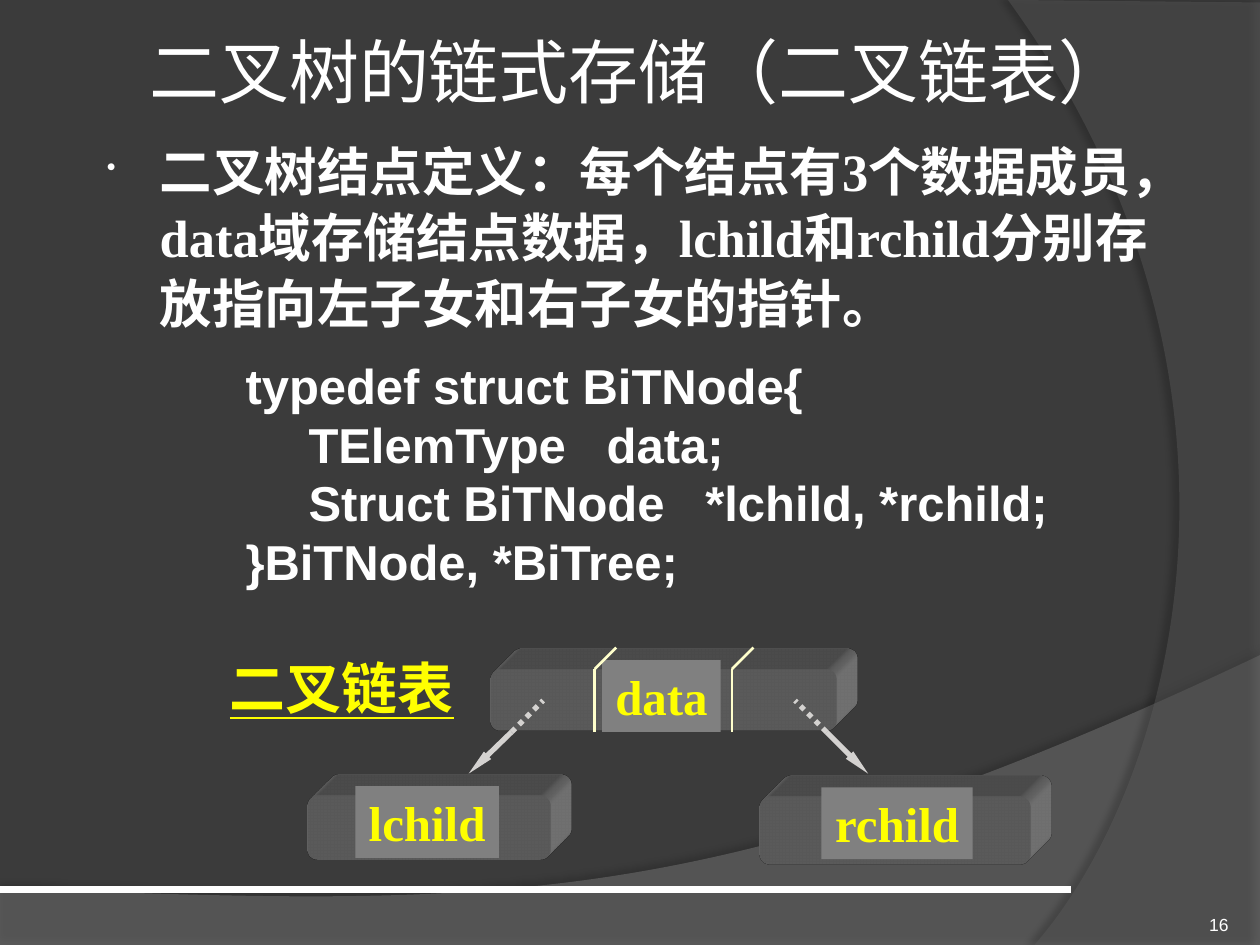
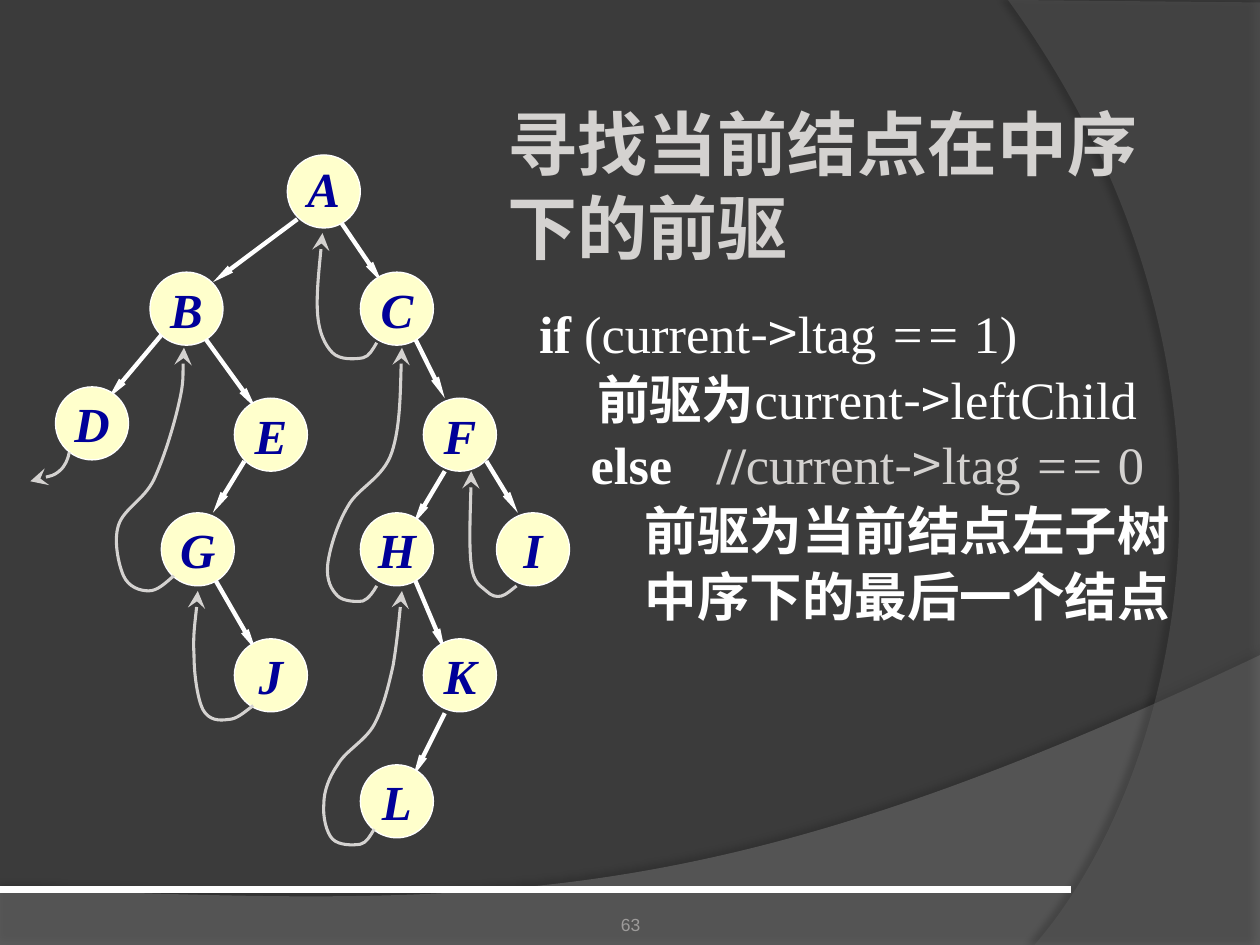
from lxml import etree
from pptx import Presentation
from pptx.dml.color import RGBColor
from pptx.enum.dml import MSO_LINE
from pptx.enum.shapes import MSO_CONNECTOR, MSO_SHAPE
from pptx.enum.text import MSO_ANCHOR, PP_ALIGN
from pptx.oxml import parse_xml
from pptx.oxml.ns import nsdecls, qn
from pptx.util import Inches, Pt

STRAIGHT = MSO_CONNECTOR.STRAIGHT
RECT, ROUNDED, OVAL = MSO_SHAPE.RECTANGLE, MSO_SHAPE.ROUNDED_RECTANGLE, MSO_SHAPE.OVAL
DOTTED = MSO_LINE.ROUND_DOT
TOP, MIDDLE, BOTTOM = MSO_ANCHOR.TOP, MSO_ANCHOR.MIDDLE, MSO_ANCHOR.BOTTOM
LEFT, CENTER, RIGHT = PP_ALIGN.LEFT, PP_ALIGN.CENTER, PP_ALIGN.RIGHT

COLORS = {
    "background": "3B3B3B", "bottom_band": "7F7F7F", "side_band": "5E5E5E",
    "white": "FFFFFF", "muted": "D4D2D0", "footer": "9D9B9A",
    "box": "808080", "yellow": "FFFF00", "cream": "FFFFCC", "navy": "000099",
}
SERIF, SANS, CJK, HEADING = "Times New Roman", "Arial", "Noto Sans CJK SC", "Karla"
TITLE_INSETS = (0.05, 0.05, 0.05, 0.05)
TEXT_INSETS = (0.1, 0.05, 0.1, 0.05)

TITLE = {"name": HEADING, "size": 40, "color": "white"}
MUTED_TITLE = {**TITLE, "color": "muted", "bold": True}
BODY = {"name": SERIF, "size": 30, "color": "white"}
BOLD_BODY = {**BODY, "bold": True}
CODE = {"name": SANS, "size": 28, "color": "white", "bold": True}
FIELD = {"name": SERIF, "size": 28, "color": "yellow", "bold": True}
CAPTION = {**FIELD, "size": 32, "underline": True}
NODE = {**FIELD, "color": "navy", "italic": True}
PAGE = {"name": SANS, "size": 10, "color": "white"}

NODE_SIZE = 0.58
NODES = {
    "A": (2.28, 1.23), "B": (1.19, 2.16), "C": (2.86, 2.16), "D": (0.44, 3.07),
    "E": (1.86, 3.16), "F": (3.36, 3.16), "G": (1.28, 4.07), "H": (2.86, 4.07),
    "I": (3.94, 4.07), "J": (1.86, 5.07), "K": (3.36, 5.07), "L": (2.86, 6.07),
}
TREE_EDGES = {
    "AB": (2.36, 1.74, 1.69, 2.24), "AC": (2.69, 1.74, 3.03, 2.24),
    "BD": (1.28, 2.66, 0.86, 3.16), "BE": (1.61, 2.66, 2.03, 3.24),
    "CF": (3.28, 2.66, 3.53, 3.16), "EG": (1.94, 3.66, 1.69, 4.07),
    "FH": (3.53, 3.74, 3.28, 4.16), "FI": (3.86, 3.66, 4.11, 4.07),
    "GJ": (1.69, 4.57, 2.03, 5.16), "HK": (3.28, 4.57, 3.53, 5.16),
    "KL": (3.53, 5.66, 3.28, 6.16),
}
# Each thread: start point, then Bezier segments (two controls and an end).
THREADS = {
    "IF": [(4.1, 4.65), (4.06, 4.68, 4.02, 4.72, 3.98, 4.73),
           (3.94, 4.74, 3.9, 4.73, 3.86, 4.69), (3.82, 4.65, 3.76, 4.64, 3.74, 4.48),
           (3.72, 4.33, 3.74, 3.87, 3.74, 3.74)],
    "LH": [(2.97, 6.58), (2.94, 6.63, 2.91, 6.69, 2.86, 6.7),
           (2.8, 6.71, 2.69, 6.71, 2.64, 6.66), (2.59, 6.61, 2.56, 6.48, 2.57, 6.38),
           (2.57, 6.28, 2.61, 6.17, 2.68, 6.07), (2.74, 5.96, 2.9, 5.88, 2.97, 5.75),
           (3.04, 5.62, 3.08, 5.46, 3.12, 5.28), (3.15, 5.1, 3.18, 4.79, 3.19, 4.69)],
    "HC": [(2.99, 4.65), (2.96, 4.7, 2.93, 4.75, 2.88, 4.77),
           (2.82, 4.78, 2.72, 4.77, 2.68, 4.73), (2.63, 4.68, 2.59, 4.61, 2.6, 4.49),
           (2.61, 4.38, 2.67, 4.17, 2.76, 4.02), (2.84, 3.87, 3.04, 3.8, 3.11, 3.59),
           (3.18, 3.38, 3.18, 2.9, 3.19, 2.76)],
    "CA": [(2.99, 2.72), (2.96, 2.77, 2.93, 2.83, 2.88, 2.84),
           (2.82, 2.85, 2.7, 2.86, 2.64, 2.8), (2.58, 2.74, 2.53, 2.64, 2.52, 2.48),
           (2.51, 2.33, 2.55, 1.96, 2.56, 1.85)],
    "JG": [(2.01, 5.6), (1.94, 5.65, 1.88, 5.71, 1.81, 5.71),
           (1.74, 5.72, 1.66, 5.72, 1.61, 5.63), (1.57, 5.55, 1.54, 5.36, 1.54, 5.2),
           (1.53, 5.04, 1.57, 4.77, 1.57, 4.69)],
    "GB": [(1.38, 4.57), (1.31, 4.63, 1.25, 4.69, 1.18, 4.69),
           (1.11, 4.69, 1.02, 4.66, 0.98, 4.57), (0.94, 4.48, 0.9, 4.29, 0.94, 4.17),
           (0.98, 4.04, 1.14, 3.97, 1.22, 3.81), (1.3, 3.64, 1.38, 3.38, 1.42, 3.2),
           (1.46, 3.03, 1.45, 2.83, 1.46, 2.76)],
    "D-start": [(0.55, 3.59), (0.54, 3.64, 0.52, 3.7, 0.47, 3.74),
                (0.42, 3.78, 0.28, 3.81, 0.24, 3.82)],
}


def rgb(color):
    return RGBColor.from_string(COLORS[color])


def inches(values):
    return [Inches(value) for value in values]


def add_runs(paragraph, runs):
    """Append (text, format) runs; a newline becomes a line break."""
    for text, style in runs:
        for number, line in enumerate(text.split("\n")):
            if number:
                paragraph.add_line_break()
            run = paragraph.add_run()
            run.text = line
            for attribute, value in style.items():
                if attribute == "color":
                    run.font.color.rgb = rgb(value)
                else:
                    setattr(run.font, attribute, Pt(value) if attribute == "size" else value)


def fill_text(shape, paragraphs, align=LEFT, anchor=TOP, insets=TEXT_INSETS, wrap=True):
    frame = shape.text_frame
    frame.word_wrap = wrap
    frame.vertical_anchor = anchor
    for side, inset in zip(("left", "top", "right", "bottom"), insets):
        setattr(frame, f"margin_{side}", Inches(inset))
    for number, runs in enumerate(paragraphs):
        paragraph = frame.add_paragraph() if number else frame.paragraphs[0]
        paragraph.alignment = align
        add_runs(paragraph, runs)
    return frame


def add_text(slide, at, paragraphs, **layout):
    return fill_text(slide.shapes.add_textbox(*inches(at)), paragraphs, **layout)


def add_title(slide, at, text, style, align):
    add_text(slide, at, [[(text, style)]], align=align, anchor=MIDDLE, insets=TITLE_INSETS)


def add_solid(slide, preset, at, fill):
    shape = slide.shapes.add_shape(preset, *inches(at))
    shape.shadow.inherit = False
    shape.fill.solid()
    shape.fill.fore_color.rgb = rgb(fill)
    shape.line.fill.background()
    return shape


def set_line(line, color, width, arrow=None):
    """Style a line; arrow is (type, width, length) of the head at its end."""
    line.color.rgb = rgb(color)
    line.width = Pt(width)
    if arrow:
        kind, breadth, length = arrow
        etree.SubElement(line._get_or_add_ln(), qn("a:tailEnd"),
                         type=kind, w=breadth, len=length)


def add_line(slide, ends, color, width, arrow=None, dash=None):
    connector = slide.shapes.add_connector(STRAIGHT, *inches(ends))
    if dash:
        connector.line.dash_style = dash
    set_line(connector.line, color, width, arrow)
    etree.SubElement(connector._element.spPr, qn("a:effectLst"))


def add_curve(slide, outline, close=False):
    """Build a freeform from a start point, line ends and Bezier segments."""
    start, *segments = outline
    builder = slide.shapes.build_freeform(*inches(start), scale=1.0)
    builder.add_line_segments([inches(s[-2:]) for s in segments], close=close)
    shape = builder.convert_to_shape()
    shape.shadow.inherit = False
    for line_to, segment in zip(list(shape._element.iter(qn("a:lnTo"))), segments):
        if len(segment) == 6:
            bezier = etree.Element(qn("a:cubicBezTo"))
            for x, y in zip(segment[::2], segment[1::2]):
                etree.SubElement(bezier, qn("a:pt"), x=str(Inches(x) - shape.left),
                                 y=str(Inches(y) - shape.top))
            line_to.getparent().replace(line_to, bezier)
    return shape


def add_band(slide, outline, color, opacity, shadow_opacity, distance, angle):
    band = add_curve(slide, outline, close=True)
    band.fill.solid()
    band.fill.fore_color.rgb = rgb(color)
    band.line.fill.background()
    properties = band._element.spPr
    tint = properties.find(qn("a:solidFill"))[0]
    etree.SubElement(tint, qn("a:alpha"), val=str(opacity * 1000))
    properties.find(qn("a:effectLst")).append(parse_xml(
        f'<a:outerShdw {nsdecls("a")} blurRad="{Pt(4)}" dist="{Pt(distance)}" '
        f'dir="{angle * 60000}" algn="ctr" rotWithShape="0"><a:srgbClr val="000000">'
        f'<a:alpha val="{shadow_opacity * 1000}"/></a:srgbClr></a:outerShdw>'))


def add_slide(deck):
    """Add a blank slide with the shared background, bands and footer rule."""
    slide = deck.slides.add_slide(deck.slide_layouts[6])
    slide.background.fill.solid()
    slide.background.fill.fore_color.rgb = rgb("background")
    add_band(slide, [(0, 7.05), (0, 7.5), (10, 7.5), (10, 5.2),
                     (5.59, 7.29, 3.91, 7.19, 0, 7.05)], "bottom_band", 45, 35, 3.5, 270)
    add_band(slide, [(10, 0.02), (10, 7.5), (8.21, 7.5),
                     (9.35, 6.19, 10.18, 3, 8, 0)], "side_band", 40, 45, 4, 180)
    add_line(slide, (0, 7.06, 8.5, 7.06), "white", 4.5)
    return slide


def add_block(slide, at):
    """Add a rounded box extruded to the upper right."""
    block = add_solid(slide, ROUNDED, at, "box")
    for part in (
        '<a:scene3d {}><a:camera prst="legacyObliqueTopRight"/>'
        '<a:lightRig rig="legacyFlat3" dir="b"/></a:scene3d>',
        '<a:sp3d {} extrusionH="430200" prstMaterial="legacyMatte">'
        '<a:extrusionClr><a:srgbClr val="808080"/></a:extrusionClr></a:sp3d>',
    ):
        block._element.spPr.append(parse_xml(part.format(nsdecls("a"))))


def add_field(slide, at, name):
    fill_text(add_solid(slide, RECT, at, "box"), [[(name, FIELD)]],
              align=CENTER, anchor=MIDDLE, wrap=False)


def add_node(slide, name, corner):
    node = add_solid(slide, OVAL, (*corner, NODE_SIZE, NODE_SIZE), "cream")
    set_line(node.line, "white", 0.75)
    return fill_text(node, [[(name, NODE)]], align=CENTER, anchor=MIDDLE, wrap=False)


def indent(paragraph, left, first=0):
    properties = paragraph._p.get_or_add_pPr()
    properties.set("marL", str(Inches(left)))
    properties.set("indent", str(Inches(first)))
    return properties


def build_storage_slide(deck):
    slide = add_slide(deck)
    add_title(slide, (0.57, 0.01, 9, 1.1), "二叉树的链式存储（二叉链表）", TITLE, CENTER)
    definition = add_text(slide, (0.71, 1.03, 8.86, 1.73), [[(
        "二叉树结点定义：每个结点有3个数据成员，data域存储结点数据，"
        "lchild和rchild分别存放指向左子女和右子女的指针。", BOLD_BODY)]]).paragraphs[0]
    definition.line_spacing = 1.05
    bullet = indent(definition, 0.46, -0.42)
    color = etree.SubElement(bullet, qn("a:buClr"))
    etree.SubElement(color, qn("a:srgbClr"), val=COLORS["white"])
    etree.SubElement(bullet, qn("a:buSzPct"), val="50000")
    etree.SubElement(bullet, qn("a:buChar"), char="•")
    add_text(slide, (8.92, 7.02, 0.83, 0.4), [[("16", PAGE)]],
             align=RIGHT, anchor=BOTTOM, insets=(0, 0, 0, 0))

    for at in ((3.89, 5.31, 2.75, 0.49), (6.03, 6.32, 2.15, 0.54), (2.44, 6.31, 1.93, 0.51)):
        add_block(slide, at)
    add_field(slide, (4.78, 5.24, 0.94, 0.57), "data")
    add_field(slide, (2.82, 6.24, 1.14, 0.57), "lchild")
    add_field(slide, (6.52, 6.25, 1.2, 0.57), "rchild")
    for x in (4.72, 5.81):
        add_line(slide, (x, 5.81, x, 5.31), "cream", 1.5)
        add_line(slide, (x, 5.31, x + 0.17, 5.14), "cream", 1.5)
    for inner, edge, tip in ((4.31, 4.06, 3.72), (6.31, 6.56, 6.89)):
        add_line(slide, (edge, 5.81, tip, 6.14), "muted", 3, ("triangle", "sm", "lg"))
        add_line(slide, (edge, 5.81, inner, 5.56), "muted", 3, dash=DOTTED)
    add_text(slide, (1.72, 5.14, 1.99, 0.63), [[("二叉链表", CAPTION)]],
             align=CENTER, anchor=MIDDLE, wrap=False)
    code = ("typedef struct BiTNode{", "\tTElemType   data;",
            "\tStruct BiTNode   *lchild, *rchild;", "}BiTNode, *BiTree;")
    add_text(slide, (1.85, 2.77, 7.32, 1.99), [[(line, CODE)] for line in code])


def build_predecessor_slide(deck):
    slide = add_slide(deck)
    add_text(slide, (3.42, 7.02, 3.17, 0.4), [[("63", {**PAGE, "color": "footer"})]],
             align=CENTER, anchor=BOTTOM, insets=(0, 0.05, 0, 0))
    add_title(slide, (3.98, 0.68, 5.35, 1.57), "寻找当前结点在中序\n下的前驱", MUTED_TITLE, LEFT)

    arrow, comment = {**BODY, "name": CJK}, {**BODY, "color": "muted"}
    lines = [
        (0.04, [("if", BOLD_BODY), (" (current", BODY), ("->", arrow), ("ltag ", BODY),
                ("== ", {**BODY, "italic": True}), ("1)", BODY)]),
        (0.5, [("前驱为", BOLD_BODY), ("current", BODY), ("->", arrow), ("leftChild", BODY)]),
        (0.45, [("else\t", BOLD_BODY), ("//", {**comment, "bold": True}), ("current", comment),
                ("->", {**arrow, "color": "muted"}), ("ltag ", comment),
                ("== ", {**comment, "italic": True}), ("0", comment)]),
        (0.88, [("前驱为当前结点左子树", BOLD_BODY)]),
        (0.88, [("中序下的最后一个结点", BOLD_BODY)]),
    ]
    frame = add_text(slide, (4.14, 2.34, 5.83, 3.03), [runs for _, runs in lines])
    for number, (paragraph, (left, _)) in enumerate(zip(frame.paragraphs, lines)):
        if number:
            paragraph.space_before = Pt(1.5)
        indent(paragraph, left)
    tabs = etree.SubElement(frame.paragraphs[2]._p.pPr, qn("a:tabLst"))
    etree.SubElement(tabs, qn("a:tab"), pos=str(Inches(1.52)), algn="l")

    for ends in TREE_EDGES.values():
        add_line(slide, ends, "white", 2.5, ("triangle", "sm", "lg"))
    for name, corner in NODES.items():
        label = add_node(slide, name, corner)
        if name == "A":
            label.paragraphs[0].line_spacing = 0.9
    for outline in THREADS.values():
        thread = add_curve(slide, outline)
        thread.fill.background()
        set_line(thread.line, "muted", 1.75, ("stealth", "lg", "lg"))


def main():
    deck = Presentation()
    deck.slide_width, deck.slide_height = Inches(10), Inches(7.5)
    build_storage_slide(deck)
    build_predecessor_slide(deck)
    deck.save("out.pptx")


if __name__ == "__main__":
    main()
